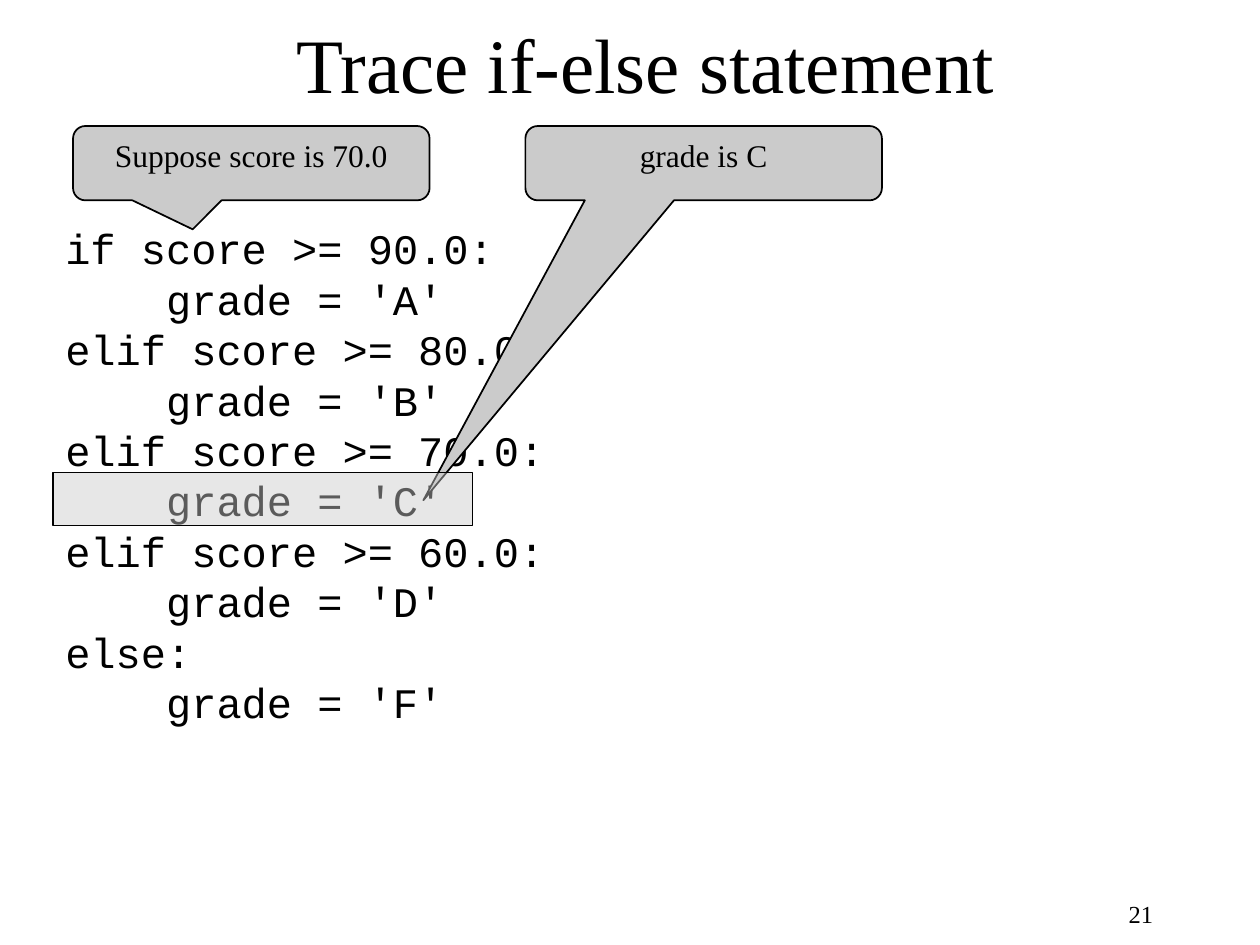
from lxml import etree
from pptx import Presentation
from pptx import util as u
from pptx.dml.color import RGBColor
from pptx.enum import shapes as sh, text as tx
from pptx.oxml.ns import qn

BLACK = RGBColor(0x00, 0x00, 0x00)
GRAY = RGBColor(0xCB, 0xCB, 0xCB)
SERIF, MONO = "Times New Roman", "Courier New"
GRADES = [("if score >= 90.0:", "A"), ("elif score >= 80.0:", "B"),
          ("elif score >= 70.0:", "C"), ("elif score >= 60.0:", "D"),
          ("else:", "F")]


def inches(box):
    return [u.Inches(v) for v in box]


def write(para, words, size, font=SERIF, align=tx.PP_ALIGN.LEFT):
    para.alignment = align
    run = para.add_run()
    run.text = words
    run.font.size = u.Pt(size)
    run.font.name = font
    run.font.color.rgb = BLACK


def paint(shape):
    shape.shadow.inherit = False
    shape.fill.solid()
    shape.fill.fore_color.rgb = GRAY
    shape.line.color.rgb = BLACK
    shape.line.width = u.Pt(1)


def add_title(slide, box, words):
    title = slide.shapes.title
    title.left, title.top, title.width, title.height = inches(box)
    title.text_frame.vertical_anchor = tx.MSO_ANCHOR.MIDDLE
    write(title.text_frame.paragraphs[0], words, 44, align=tx.PP_ALIGN.CENTER)


def add_code(slide, box):
    frame = slide.shapes.add_textbox(*inches(box)).text_frame
    frame.word_wrap = True
    frame.margin_top = u.Inches(0.1)
    lines = []
    for test, grade in GRADES:
        lines += [(test, 0), (f"grade = '{grade}'", 0.8)]
    for i, (words, indent) in enumerate(lines):
        para = frame.add_paragraph() if i else frame.paragraphs[0]
        para.line_spacing = u.Pt(28.8)
        write(para, words, 24, MONO)
        para._p.get_or_add_pPr().set("marL", str(u.Inches(indent)))


def add_callout(slide, box, tip, words):
    """Tip is the point of the wedge, in inches from the box corner."""
    note = slide.shapes.add_shape(
        sh.MSO_SHAPE.ROUNDED_RECTANGULAR_CALLOUT, *inches(box))
    paint(note)
    note.adjustments[0] = tip[0] / box[2] - 0.5
    note.adjustments[1] = tip[1] / box[3] - 0.5
    note.adjustments[2] = 0.167
    note.text_frame.vertical_anchor = tx.MSO_ANCHOR.TOP
    write(note.text_frame.paragraphs[0], words, 18, align=tx.PP_ALIGN.CENTER)


def add_mark(slide, box):
    mark = slide.shapes.add_shape(sh.MSO_SHAPE.RECTANGLE, *inches(box))
    paint(mark)
    # Let the code line show through
    color = mark.fill._xPr.find(qn("a:solidFill"))[0]
    etree.SubElement(color, qn("a:alpha")).set("val", "45000")


def add_number(slide, box, words):
    frame = slide.shapes.add_textbox(*inches(box)).text_frame
    frame.word_wrap = True
    frame.vertical_anchor = tx.MSO_ANCHOR.MIDDLE
    write(frame.paragraphs[0], words, 14, align=tx.PP_ALIGN.RIGHT)


deck = Presentation()
deck.slide_width, deck.slide_height = u.Inches(10), u.Inches(7.5)
slide = deck.slides.add_slide(deck.slide_layouts[5])

# Heading and page number
add_number(slide, (7.17, 7, 2.08, 0.5), "21")
add_title(slide, (0.75, 0, 8.75, 1), "Trace if-else statement")

# Code with its trace
add_code(slide, (0.42, 1.67, 4.84, 4.14))
add_callout(slide, (0.58, 1, 2.83, 0.59), (0.95, 0.82), "Suppose score is 70.0")
add_callout(slide, (4.17, 1, 2.83, 0.59), (-0.81, 2.97), "grade is C")
add_mark(slide, (0.42, 3.75, 3.33, 0.42))

deck.save("out.pptx")
